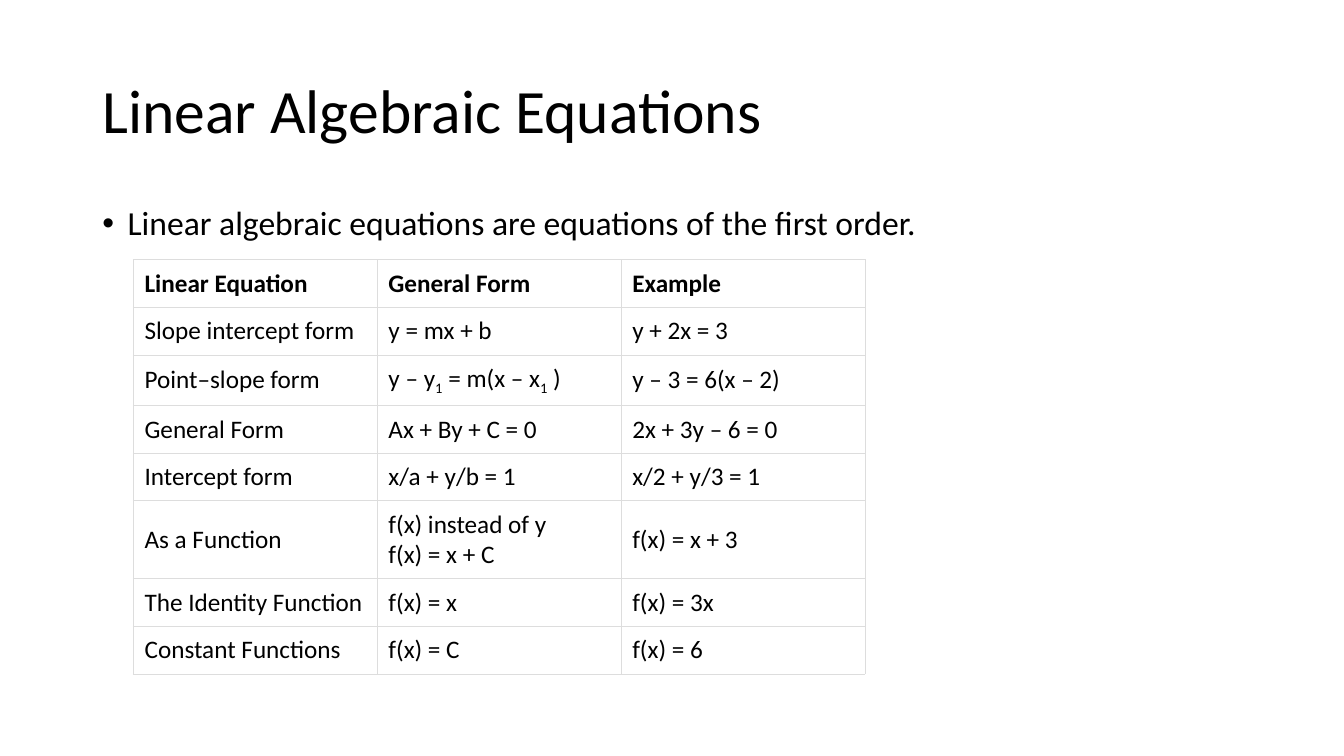
from lxml import etree
from pptx import Presentation
from pptx.dml.color import RGBColor
from pptx.enum.text import MSO_ANCHOR, MSO_AUTO_SIZE, PP_ALIGN
from pptx.oxml.ns import qn
from pptx.util import Pt

MIDDLE, TOP = MSO_ANCHOR.MIDDLE, MSO_ANCHOR.TOP
FIXED = MSO_AUTO_SIZE.NONE
LEFT = PP_ALIGN.LEFT

BLACK = RGBColor(0x00, 0x00, 0x00)
WHITE = RGBColor(0xFF, 0xFF, 0xFF)
GRAY = RGBColor(0xDD, 0xDD, 0xDD)

# Text between bars is set as a subscript.
ROWS = [
    ("Linear Equation", "General Form", "Example"),
    ("Slope intercept form", "y = mx + b", "y + 2x = 3"),
    ("Point–slope form", "y – y|1| = m(x – x|1| )", "y – 3 = 6(x – 2)"),
    ("General Form", "Ax + By + C = 0", "2x + 3y – 6 = 0"),
    ("Intercept form", "x/a + y/b = 1", "x/2 + y/3 = 1"),
    ("As a Function", "f(x) instead of y\nf(x) = x + C", "f(x) = x + 3"),
    ("The Identity Function", "f(x) = x", "f(x) = 3x"),
    ("Constant Functions", "f(x) = C", "f(x) = 6"),
]
ROW_H = 34
TALL = {2: 36.2, 5: 55.7}


class Page:
    def __init__(self, slide, face="Calibri", color=BLACK):
        self.slide, self.face, self.color = slide, face, color

    def style(self, run, size, bold=False):
        font = run.font
        font.name, font.size, font.bold = self.face, Pt(size), bold
        font.color.rgb = self.color

    def holder(self, shape, text, box, size, anchor):
        """Move a placeholder to box and fill it with one paragraph."""
        shape.left, shape.top, shape.width, shape.height = map(Pt, box)
        frame = shape.text_frame
        frame.text = text
        frame.word_wrap, frame.auto_size = True, FIXED
        frame.vertical_anchor = anchor
        para = frame.paragraphs[0]
        para.alignment, para.line_spacing = LEFT, 0.9
        self.style(para.runs[0], size)
        return para

    def title(self, text, box):
        self.holder(self.slide.shapes.title, text, box, 44, MIDDLE)

    def body(self, text, box):
        para = self.holder(self.slide.placeholders[1], text, box, 24, TOP)
        para.space_before = Pt(10)
        props = para._p.get_or_add_pPr()
        props.set("marL", str(Pt(18)))
        props.set("indent", str(Pt(-18)))
        etree.SubElement(props, qn("a:buFont"), typeface="Arial")
        etree.SubElement(props, qn("a:buChar"), char="•")

    def border(self, cell):
        props = cell._tc.get_or_add_tcPr()
        for side in ("lnL", "lnR", "lnT", "lnB"):
            line = etree.SubElement(props, qn("a:" + side), w=str(Pt(0.75)))
            fill = etree.SubElement(line, qn("a:solidFill"))
            etree.SubElement(fill, qn("a:srgbClr"), val=str(GRAY))

    def cell(self, cell, text, bold):
        self.border(cell)
        cell.fill.solid()
        cell.fill.fore_color.rgb = WHITE
        cell.vertical_anchor = MIDDLE
        cell.margin_left = cell.margin_right = Pt(8)
        cell.margin_top = cell.margin_bottom = Pt(5.76)
        cell.text_frame.text = text
        for para in cell.text_frame.paragraphs:
            first, *rest = para.text.split("|")
            para.text = first
            for part in rest:
                para.add_run().text = part
            for i, run in enumerate(para.runs):
                self.style(run, 18, bold)
                if i % 2:
                    run._r.get_or_add_rPr().set("baseline", "-25000")

    def table(self, rows, left, top, col_w):
        heights = [TALL.get(i, ROW_H) for i in range(len(rows))]
        cols = len(rows[0])
        table = self.slide.shapes.add_table(
            len(rows), cols, Pt(left), Pt(top),
            Pt(cols * col_w), Pt(sum(heights))).table
        table.horz_banding = False
        for col in table.columns:
            col.width = Pt(col_w)
        for i, texts in enumerate(rows):
            table.rows[i].height = Pt(heights[i])
            for j, text in enumerate(texts):
                self.cell(table.cell(i, j), text, bold=i == 0)


def main():
    deck = Presentation()
    deck.slide_width, deck.slide_height = Pt(960), Pt(540)
    page = Page(deck.slides.add_slide(deck.slide_layouts[1]))
    page.title("Linear Algebraic Equations", (66, 28.8, 828, 104.4))
    page.body("Linear algebraic equations are equations of the first order.",
              (66, 143.8, 828, 342.6))
    page.table(ROWS, 95.3, 185.6, 174.2)
    deck.save("out.pptx")


if __name__ == "__main__":
    main()
